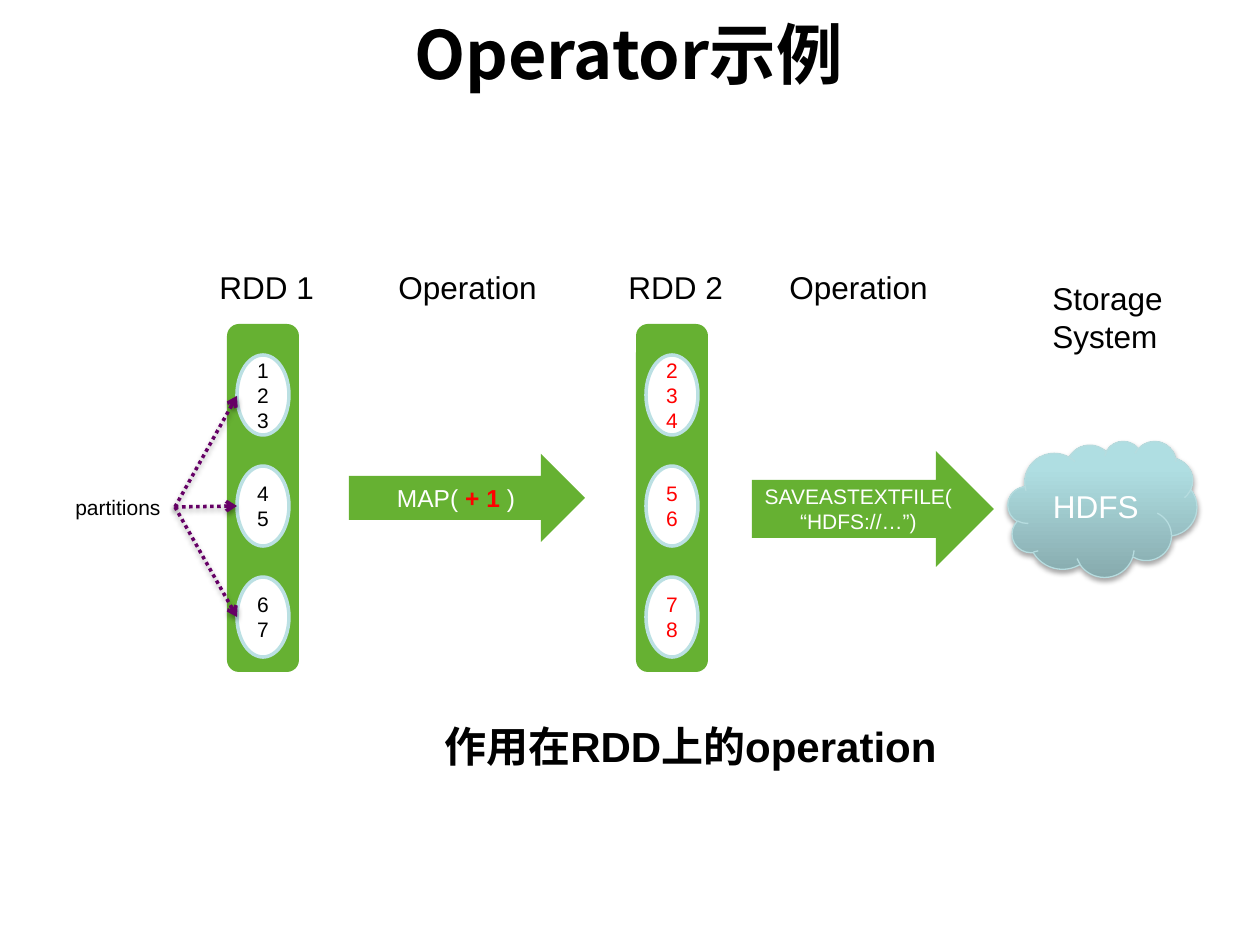
from dataclasses import dataclass

from lxml.etree import SubElement
from pptx import Presentation
from pptx.dml.color import RGBColor
from pptx.enum.dml import MSO_LINE
from pptx.enum.shapes import MSO_CONNECTOR, MSO_SHAPE as SHAPE
from pptx.enum.text import MSO_ANCHOR as ANCHOR, MSO_AUTO_SIZE as AUTO, PP_ALIGN as ALIGN
from pptx.oxml.ns import qn
from pptx.util import Emu, Pt

PX = 914400 / 126


@dataclass(frozen=True)
class Theme:
    latin: str = "Arial"
    cjk: str = "Noto Sans CJK SC"
    text: str = "000000"
    white: str = "FFFFFF"
    changed: str = "FF0000"
    green: str = "66B132"
    rim: str = "BBE0E3"
    pointer: str = "660066"
    cloud_low: str = "87ABAE"
    cloud_high: str = "AFDEE2"
    cloud_rim: str = "B6DCDF"
    title: int = 38
    caption: int = 24
    label: int = 18
    operation: int = 14
    small: int = 12


def px(*lengths):
    return [Emu(round(length * PX)) for length in lengths]


def rgb(color):
    return RGBColor.from_string(color)


class Diagram:
    def __init__(self, slide, theme):
        self.slide = slide
        self.theme = theme

    def set_text(self, shape, paragraphs, size, color, align=ALIGN.CENTER,
                 anchor=ANCHOR.MIDDLE, bold=False, latin=None, **frame_format):
        """Fill a shape; each paragraph is a string or a list of (text, colour, bold)."""
        frame = shape.text_frame
        frame_format = {"word_wrap": True, "vertical_anchor": anchor, **frame_format}
        for name, value in frame_format.items():
            setattr(frame, name, value)
        for index, content in enumerate(paragraphs):
            paragraph = frame.add_paragraph() if index else frame.paragraphs[0]
            paragraph.alignment = align
            runs = [(content, color, bold)] if isinstance(content, str) else content
            for text, run_color, run_bold in runs:
                run = paragraph.add_run()
                run.text = text
                font_format = {"name": latin or self.theme.latin, "size": Pt(size), "bold": run_bold}
                for name, value in font_format.items():
                    setattr(run.font, name, value)
                run.font.color.rgb = rgb(run_color)
                SubElement(run.font._element, qn("a:ea"), typeface=self.theme.cjk)

    def title(self, text, box):
        title = self.slide.shapes.title
        for name, value in zip(("left", "top", "width", "height"), px(*box)):
            setattr(title, name, value)
        self.set_text(title, [text], self.theme.title, self.theme.text, bold=True,
                      latin=self.theme.cjk, auto_size=AUTO.NONE)

    def label(self, text, box, size, align=ALIGN.LEFT, bold=False):
        label = self.slide.shapes.add_textbox(*px(*box))
        self.set_text(label, [text], size, self.theme.text, align, ANCHOR.TOP, bold)

    def shape(self, kind, box, fill=None, rim=None, rim_width=2, parent=None):
        shape = (parent or self.slide).shapes.add_shape(kind, *px(*box))
        shape.shadow.inherit = False
        if fill:
            shape.fill.solid()
            shape.fill.fore_color.rgb = rgb(fill)
        if rim:
            shape.line.color.rgb = rgb(rim)
            shape.line.width = Pt(rim_width)
        else:
            shape.line.fill.background()
        return shape

    def shadow(self, effects, opacity, distance):
        """Add a soft shadow that falls straight down."""
        outer = SubElement(effects, qn("a:outerShdw"), blurRad=str(Pt(3.1)),
                           dist=str(Pt(distance)), dir="5400000", rotWithShape="0")
        black = SubElement(outer, qn("a:srgbClr"), val="000000")
        SubElement(black, qn("a:alpha"), val=str(opacity * 1000))

    def rdd(self, left, partitions, color):
        """Draw one RDD as a column of partitions."""
        group = self.slide.shapes.add_group_shape()
        self.shape(SHAPE.ROUNDED_RECTANGLE, (left, 324, 72, 348), self.theme.green, parent=group)
        margins = dict.fromkeys(("margin_left", "margin_right", "margin_top", "margin_bottom"), 0)
        for row, values in enumerate(partitions):
            oval = self.shape(SHAPE.OVAL, (left + 10, 355 + 111 * row, 52, 80),
                              self.theme.white, self.theme.rim, parent=group)
            self.set_text(oval, values, self.theme.small, color, **margins)

    def operation(self, text, box, size):
        arrow = self.shape(SHAPE.RIGHT_ARROW, box, self.theme.green)
        self.set_text(arrow, [text], size, self.theme.white)

    def pointer(self, start, end):
        line = self.slide.shapes.add_connector(MSO_CONNECTOR.STRAIGHT, *px(*start, *end))
        line.line.color.rgb = rgb(self.theme.pointer)
        line.line.width = Pt(2)
        line.line.dash_style = MSO_LINE.ROUND_DOT
        properties = line._element.spPr
        SubElement(properties.find(qn("a:ln")), qn("a:tailEnd"), type="arrow")
        self.shadow(SubElement(properties, qn("a:effectLst")), 38, 1.6)

    def storage(self, text, box):
        cloud = self.shape(SHAPE.CLOUD, box, rim=self.theme.cloud_rim, rim_width=0.75)
        cloud.fill.gradient()
        cloud.fill.gradient_angle = 90
        stops = ((0, self.theme.cloud_low), (0.8, self.theme.cloud_high))
        for stop, (position, color) in zip(cloud.fill.gradient_stops, stops):
            stop.position = position
            stop.color.rgb = rgb(color)
        self.shadow(cloud._element.spPr.find(qn("a:effectLst")), 35, 1.8)
        self.set_text(cloud, [text], self.theme.label, self.theme.white)


def main():
    deck = Presentation()
    deck.slide_width, deck.slide_height = px(1260, 945)
    theme = Theme()
    diagram = Diagram(deck.slides.add_slide(deck.slide_layouts[5]), theme)

    diagram.title("Operator示例", (-3, 3, 1263, 100))
    diagram.rdd(227, ["123", "45", "67"], theme.text)
    diagram.rdd(636, ["234", "56", "78"], theme.changed)

    for partition_middle in (396, 506, 617):
        diagram.pointer((175, 507), (237, partition_middle))
    diagram.label("partitions", (63, 488, 114, 38), theme.small)

    map_call = [("MAP( ", theme.white, False), ("+ 1", theme.changed, True), (" )", theme.white, False)]
    diagram.operation(map_call, (349, 454, 236, 88), theme.operation)
    diagram.operation("SAVEASTEXTFILE(“HDFS://…”)", (752, 451, 242, 116), theme.small)
    diagram.storage("HDFS", (1008, 441, 189, 136))

    headings = (("RDD 1", 207, 124), ("Operation", 386, 166),
                ("RDD 2", 616, 124), ("Operation", 777, 166))
    for heading, left, width in headings:
        diagram.label(heading, (left, 262, width, 50), theme.label)
    diagram.label("Storage System", (1040, 273, 138, 89), theme.label)
    diagram.label("作用在RDD上的operation", (368, 714, 645, 63), theme.caption, ALIGN.CENTER, bold=True)

    deck.save("out.pptx")


if __name__ == "__main__":
    main()
